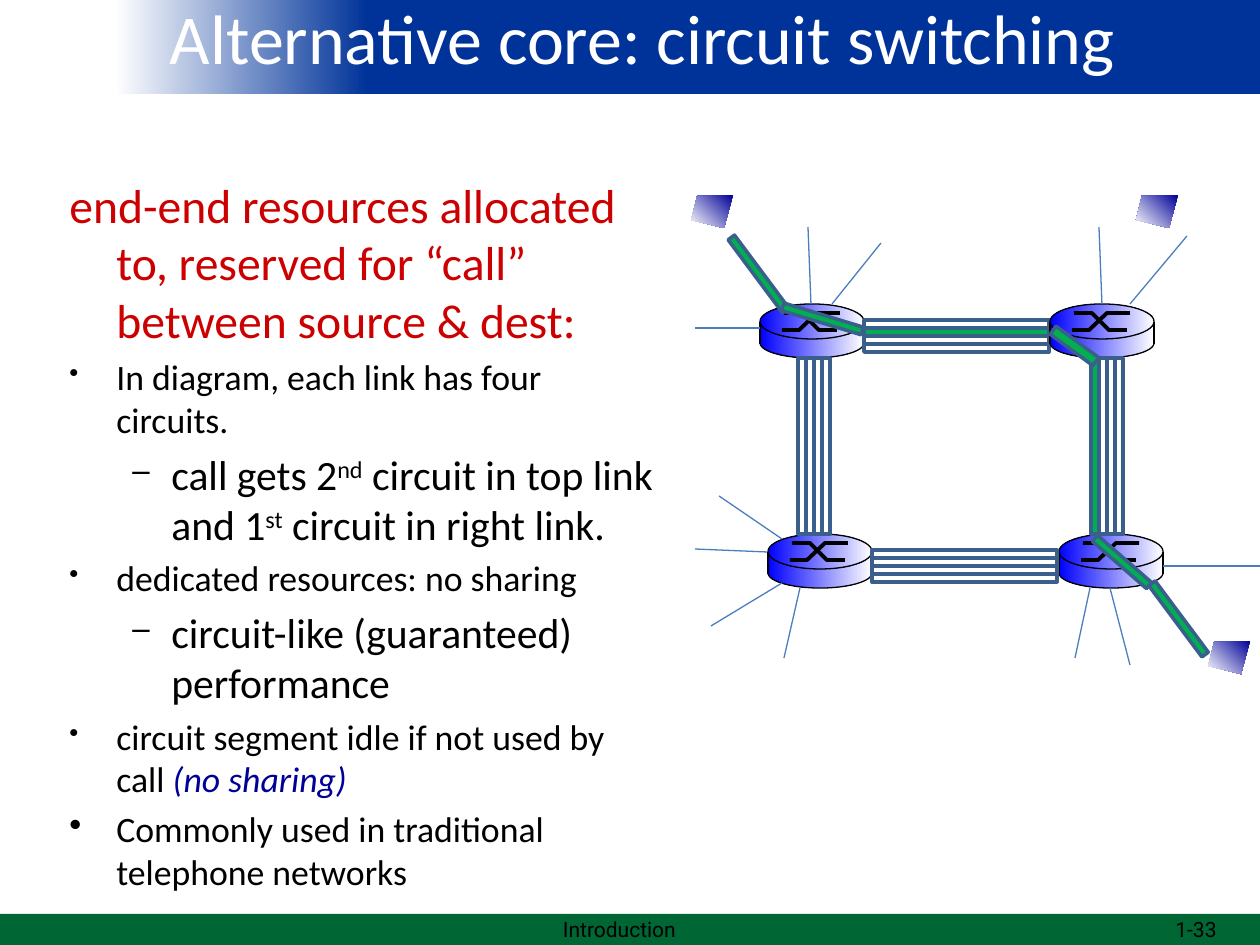
import pptx
import pptx.dml.color
import pptx.enum.shapes
import pptx.enum.text
import pptx.oxml
import pptx.oxml.ns
import pptx.util

SCALE = 914400 / 126
SHAPE = pptx.enum.shapes.MSO_SHAPE
ALIGN = pptx.enum.text.PP_ALIGN
MIDDLE = pptx.enum.text.MSO_ANCHOR.MIDDLE
TOP = pptx.enum.text.MSO_ANCHOR.TOP


class Theme:
    """Colours, fonts and type sizes of the slide."""
    header, footer, white, black = "003399", "006633", "FFFFFF", "000000"
    lead, remark = "CC0000", "000099"
    router, host = "0000FF", "000099"
    call, circuit, access = "00B050", "3A5F8C", "4B7EBC"
    text_font, footer_font = "Calibri", "Roboto"
    title_size, lead_size, point_size, detail_size, footer_size = 40, 27.2, 20.4, 23.8, 12


ROUTERS = [(760, 304), (1050, 304), (768, 534), (1059, 534)]
HOSTS = [(691, 195), (1208, 641), (1136, 195)]
HOST_OUTLINE = [(42, 0), (6, 1), (0, 25), (33, 33)]
CROSSING = [[(22, 26), (39, 26), (57, 9), (80, 9)], [(24, 9), (42, 9), (59, 26), (77, 26)]]
ACCESS_LINES = [
    ((808, 227), (811, 304)), ((881, 243), (832, 304)), ((695, 328), (760, 328)),
    ((695, 549), (767, 552)), ((719, 496), (782, 539)), ((711, 626), (782, 583)),
    ((784, 658), (800, 588)), ((1260, 566), (1163, 566)), ((1130, 665), (1110, 588)),
    ((1075, 658), (1090, 588)), ((1099, 227), (1102, 304)), ((1187, 236), (1130, 304)),
]
CALL_SEGMENTS = [
    (713, 270, 91, 8, 53.3), (1134, 615, 89, 8, 53.3), (781, 315, 83, 8, 16.9),
    (1086, 558, 72, 8, 41.1), (1048, 341, 53, 10, 36.3),
]
LEAD = dict(size=Theme.lead_size, color=Theme.lead)
POINT = dict(size=Theme.point_size)
DETAIL = dict(size=Theme.detail_size, margin=102, hang=39, bullet="–")
RAISED = dict(baseline=30000)
BODY = [
    (dict(LEAD, bullet=None),
     [("end-end resources allocated to, reserved for “call” between source & dest:", {})]),
    (POINT, [("In diagram, each link has four circuits.", {})]),
    (DETAIL, [("call gets 2", {}), ("nd", RAISED), (" circuit in top link and 1", {}),
              ("st", RAISED), (" circuit in right link.", {})]),
    (POINT, [("dedicated resources: no sharing", {})]),
    (DETAIL, [("circuit-like (guaranteed) performance", {})]),
    (POINT, [("circuit segment idle if not used by call ", {}),
             ("(no sharing)", dict(color=Theme.remark, italic=True))]),
    (dict(POINT, bullet_scale=100),
     [("Commonly used in traditional telephone networks", {})]),
]


def px(length):
    """Turn a length in px into EMU."""
    return round(length * SCALE)


def rgb(code):
    """Return the colour for a hex code."""
    return pptx.dml.color.RGBColor.from_string(code)


def apply(target, values):
    """Set each attribute in values on target."""
    for name, value in values.items():
        setattr(target, name, value)


def paint(shape, fill=None, line=None, width=0.75):
    """Give a shape a fill (colour or gradient), a line and no shadow."""
    shape.shadow.inherit = False
    if fill is None:
        shape.fill.background()
    elif isinstance(fill, str):
        shape.fill.solid()
        shape.fill.fore_color.rgb = rgb(fill)
    else:
        angle, *stops = fill
        shape.fill.gradient()
        shape.fill.gradient_angle = angle
        for stop, (position, color) in zip(shape.fill.gradient_stops, stops):
            stop.position = position
            stop.color.rgb = rgb(color)
    if line is None:
        shape.line.fill.background()
    else:
        shape.line.color.rgb = rgb(line)
        shape.line.width = pptx.util.Pt(width)


def add_block(slide, kind, box, rotation=0, **look):
    """Add a preset shape."""
    block = slide.shapes.add_shape(kind, *map(px, box))
    block.rotation = rotation
    paint(block, **look)


def add_outline(slide, origin, points, close, **look):
    """Add a freeform whose points are relative to origin."""
    start, *rest = [(origin[0] + x, origin[1] + y) for x, y in points]
    builder = slide.shapes.build_freeform(*start, scale=SCALE)
    builder.add_line_segments(rest, close=close)
    paint(builder.convert_to_shape(), **look)


def add_line(slide, start, end, color):
    """Add a thin straight line."""
    line = slide.shapes.add_connector(
        pptx.enum.shapes.MSO_CONNECTOR.STRAIGHT, *map(px, start + end))
    line.line.color.rgb = rgb(color)
    line.line.width = pptx.util.Pt(0.75)
    pptx.oxml.ns  # namespace registry
    line._element.spPr.append(pptx.oxml.parse_xml(
        f'<a:effectLst {pptx.oxml.ns.nsdecls("a")}/>'))


def add_run(paragraph, text, size, color=Theme.black, font=Theme.text_font,
            italic=False, baseline=None):
    """Add a formatted run, raised when baseline is given."""
    run = paragraph.add_run()
    run.text = text
    apply(run.font, dict(size=pptx.util.Pt(size), name=font, italic=italic))
    run.font.color.rgb = rgb(color)
    if baseline:
        run._r.get_or_add_rPr().set("baseline", str(baseline))


def add_frame(slide, box, anchor):
    """Add a wrapping text box and return its text frame."""
    frame = slide.shapes.add_textbox(*map(px, box)).text_frame
    apply(frame, dict(word_wrap=True, vertical_anchor=anchor))
    return frame


def add_label(slide, box, text, align, **style):
    """Add a one-line text, centred vertically."""
    paragraph = add_frame(slide, box, MIDDLE).paragraphs[0]
    paragraph.alignment = align
    add_run(paragraph, text, **style)


def format_paragraph(paragraph, margin, hang, bullet, bullet_scale):
    """Set a hanging indent and an optional bullet."""
    properties = paragraph._p.get_or_add_pPr()
    properties.set("marL", str(px(margin)))
    properties.set("indent", str(-px(hang)))
    marks = ["<a:buNone {}/>"]
    if bullet:
        marks = [f'<a:buSzPct {{}} val="{bullet_scale * 1000}"/>',
                 f'<a:buChar {{}} char="{bullet}"/>']
    for mark in marks:
        properties.append(pptx.oxml.parse_xml(mark.format(pptx.oxml.ns.nsdecls("a"))))


def add_body(slide, box):
    """Add the bulleted explanation."""
    frame = add_frame(slide, box, TOP)
    for index, (level, runs) in enumerate(BODY):
        style = dict(dict(margin=47, hang=47, bullet="•", bullet_scale=75,
                          color=Theme.black), **level)
        paragraph = frame.add_paragraph() if index else frame.paragraphs[0]
        format_paragraph(paragraph, *(style.pop(key) for key in
                                      ("margin", "hang", "bullet", "bullet_scale")))
        if index:
            paragraph.space_before = pptx.util.Pt(round(style["size"] * 0.2, 1))
        for text, changes in runs:
            add_run(paragraph, text, **dict(style, **changes))


def add_router(slide, origin):
    """Add a router drum with its crossing mark."""
    x, y = origin
    shade = (0, (0, Theme.router), (1, Theme.white))
    for kind, top, height, line in ((SHAPE.OVAL, 24, 30, Theme.black),
                                    (SHAPE.RECTANGLE, 21, 19, None),
                                    (SHAPE.OVAL, 0, 35, Theme.black)):
        add_block(slide, kind, (x, y + top, 104, height), fill=shade, line=line)
    for strand in CROSSING:
        add_outline(slide, origin, strand, False, line=Theme.black, width=2.25)
    for side in (x, x + 104):
        add_line(slide, (side, y + 18), (side, y + 40), Theme.black)


def add_circuit(slide, box, rotation=0, in_call=False):
    """Add one circuit, filled when the call uses it."""
    add_block(slide, SHAPE.RECTANGLE, box, rotation, line=Theme.circuit, width=2,
              fill=Theme.call if in_call else None)


def add_link(slide, left, top, vertical=False, used=None):
    """Add a link of four circuits, of which the call may use one."""
    for number in reversed(range(4)) if vertical else range(4):
        box = ((left + 8 * number, top, 176, 8) if vertical
               else (left, top + 8 * number, 185, 8))
        add_circuit(slide, box, 90 if vertical else 0, number == used)


def add_network(slide):
    """Add routers, hosts, links and the path of the call."""
    add_router(slide, ROUTERS[0])
    add_link(slide, 864, 320, used=1)
    for origin in ROUTERS[1:]:
        add_router(slide, origin)
    add_link(slide, 714, 442, vertical=True)
    add_link(slide, 872, 550)
    add_link(slide, 1007, 442, vertical=True, used=0)
    for start, end in ACCESS_LINES:
        add_line(slide, start, end, Theme.access)
    for origin in HOSTS:
        add_outline(slide, origin, HOST_OUTLINE, True,
                    fill=(225, (0, Theme.host), (1, Theme.white)))
    for *box, rotation in CALL_SEGMENTS:
        add_circuit(slide, box, rotation, True)


def main():
    """Build and save the slide."""
    deck = pptx.Presentation()
    apply(deck, dict(slide_width=px(1260), slide_height=px(945)))
    slide = deck.slides.add_slide(deck.slide_layouts[6])
    fade = (180, (0.49, Theme.header), (0.96, Theme.white))
    for box, fill in (((630, 0, 630, 94), Theme.header), ((94, 0, 536, 94), fade),
                      ((0, 914, 1260, 31), Theme.footer)):
        add_block(slide, SHAPE.RECTANGLE, box, fill=fill)
    footer = dict(size=Theme.footer_size, font=Theme.footer_font)
    add_label(slide, (420, 914, 399, 31), "Introduction", ALIGN.CENTER, **footer)
    add_label(slide, (107, -13, 1071, 100), "Alternative core: circuit switching",
              ALIGN.CENTER, size=Theme.title_size, color=Theme.white)
    add_body(slide, (57, 170, 615, 640))
    add_label(slide, (935, 914, 294, 31), "1-33", ALIGN.RIGHT, **footer)
    add_network(slide)
    deck.save("out.pptx")


if __name__ == "__main__":
    main()
